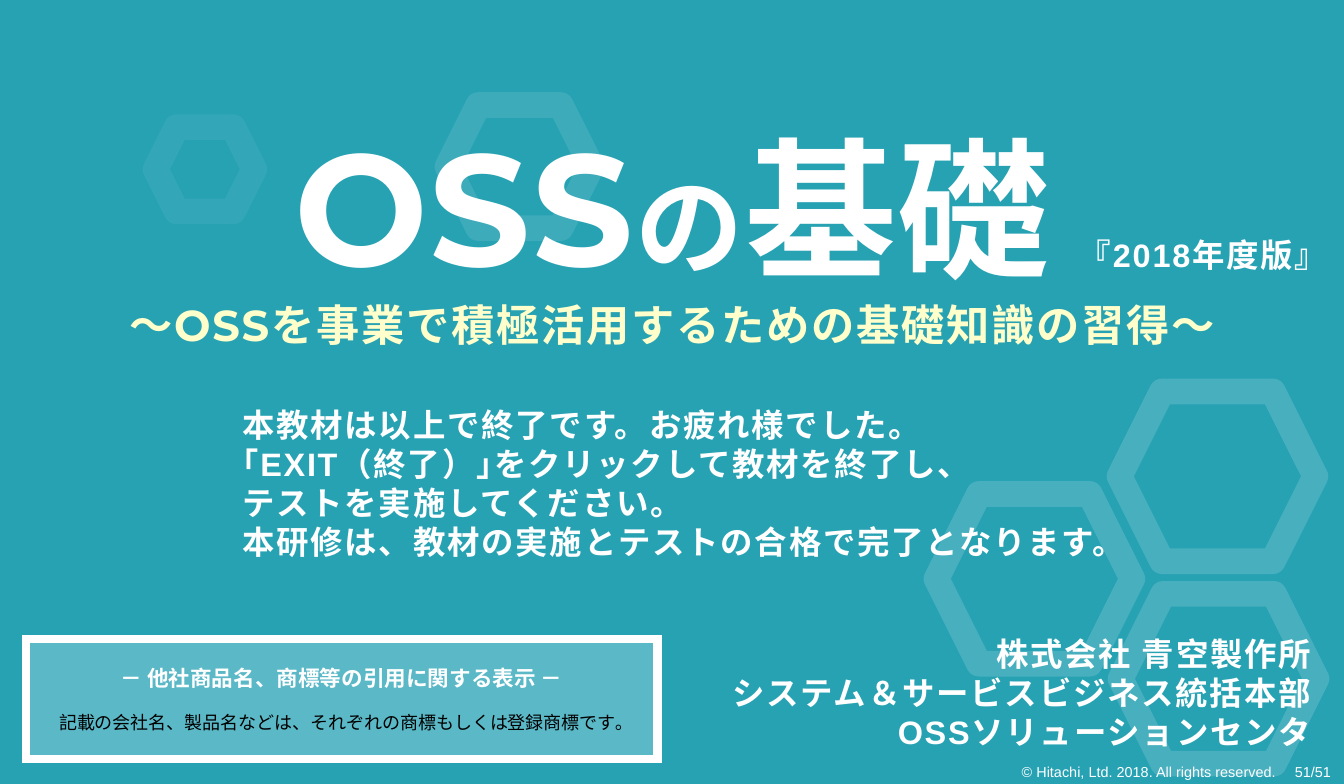
"""Build the closing slide of the OSS basics course."""
from lxml import etree
from pptx import Presentation
from pptx.dml.color import RGBColor
from pptx.enum.shapes import MSO_SHAPE
from pptx.enum.text import MSO_ANCHOR, PP_ALIGN
from pptx.oxml.ns import qn
from pptx.util import Pt

HEXAGON, RECTANGLE = MSO_SHAPE.HEXAGON, MSO_SHAPE.RECTANGLE
LEFT, CENTER, RIGHT = PP_ALIGN.LEFT, PP_ALIGN.CENTER, PP_ALIGN.RIGHT
TOP = MSO_ANCHOR.TOP
TEAL, PALE_TEAL, WHITE, CREAM, BLACK = "27A2B3", "72C3D0", "FFFFFF", "FFFFCC", "000000"
JAPANESE_FONT = "Noto Sans CJK JP"


def color(hex_string):
    """Turn a hex string into a colour."""
    return RGBColor.from_string(hex_string)


def set_opacity(fill_parent, percent):
    """Set the opacity of the solid fill inside an element."""
    solid_color = fill_parent.find(qn("a:solidFill"))[0]
    etree.SubElement(solid_color, qn("a:alpha"), val=str(percent * 1000))


def add_run(paragraph, text, size=18, font="Arial", fill=WHITE, bold=True, spacing=1):
    """Add a formatted run to a paragraph."""
    run = paragraph.add_run()
    run.text = text
    run.font.size = Pt(size)
    run.font.bold = bold
    run.font.name = font
    run.font.color.rgb = color(fill)
    properties = run.font._element
    properties.set("spc", str(spacing * 100))
    latin = properties.find(qn("a:latin"))
    latin.addnext(properties.makeelement(qn("a:ea"), {"typeface": JAPANESE_FONT}))


class SlideBuilder:
    """Hold the slide and its style, with one method per kind of element."""

    def __init__(self, slide):
        """Start on a slide with the teal background."""
        self.slide = slide
        background = slide.background.fill
        background.solid()
        background.fore_color.rgb = color(TEAL)

    def outline(self, preset, left, top, width, height, weight, join):
        """Add an unfilled preset shape with a white line."""
        shape = self.slide.shapes.add_shape(preset, Pt(left), Pt(top), Pt(width), Pt(height))
        shape.shadow.inherit = False
        shape.fill.background()
        shape.line.color.rgb = color(WHITE)
        shape.line.width = Pt(weight)
        etree.SubElement(shape.line._get_or_add_ln(), qn(join))
        return shape

    def hexagon(self, left, top, width, height, opacity):
        """Add a translucent hexagon ring with round corners."""
        shape = self.outline(HEXAGON, left, top, width, height, 14.25, "a:round")
        set_opacity(shape.line._get_or_add_ln(), opacity)

    def panel(self, left, top, width, height):
        """Add the translucent panel with a white frame."""
        shape = self.outline(RECTANGLE, left, top, width, height, 4.5, "a:miter")
        shape.fill.solid()
        shape.fill.fore_color.rgb = color(PALE_TEAL)
        set_opacity(shape._element.spPr, 69)

    def text(self, left, top, width, height, paragraphs, align=LEFT, pitch=None, inset=7.2):
        """Add a text box from paragraphs, each a list of (text, format) runs."""
        box = self.slide.shapes.add_textbox(Pt(left), Pt(top), Pt(width), Pt(height))
        frame = box.text_frame
        frame.word_wrap = True
        frame.vertical_anchor = TOP
        frame.margin_left = frame.margin_right = Pt(inset)
        for index, runs in enumerate(paragraphs):
            paragraph = frame.add_paragraph() if index else frame.paragraphs[0]
            paragraph.alignment = align
            if pitch:
                paragraph.line_spacing = Pt(pitch)
            for text, style in runs:
                add_run(paragraph, text, **style)
        return frame

    def lines(self, left, top, width, height, rows, align=LEFT, inset=7.2):
        """Add a text box of plain bold rows."""
        self.text(left, top, width, height, [[(row, {})] for row in rows], align, 21.65, inset)


def main():
    """Build and save the slide."""
    presentation = Presentation()
    presentation.slide_width, presentation.slide_height = Pt(746), Pt(435.4)
    builder = SlideBuilder(presentation.slides.add_slide(presentation.slide_layouts[6]))

    builder.hexagon(248.4, 58.3, 80, 68.4, 10)
    builder.hexagon(86.4, 70.6, 54.7, 46.8, 6)
    for left, top in ((622, 329.8), (519.8, 274.3), (621.4, 217.4)):
        builder.hexagon(left, top, 108.7, 94.3, 15)

    title = {"font": "Montserrat"}
    heading = builder.text(37.8, 57, 670.4, 143.3, [
        [("OSS", {"size": 88, **title}), ("の", {"size": 60, **title}),
         ("基礎", {"size": 84, **title})],
        [("～OSSを事業で積極活用するための基礎知識の習得～",
          {"size": 24, "fill": CREAM, **title})],
    ], CENTER)
    for paragraph, pitch in zip(heading.paragraphs, (105, 28.8)):
        paragraph.line_spacing = Pt(pitch)

    builder.text(490.3, 420, 255.6, 15.4, [
        [("© Hitachi, Ltd. 2018. All rights reserved. 　51/51",
          {"size": 8, "bold": False, "spacing": 0})],
    ], RIGHT)
    builder.lines(275.5, 348.3, 459.4, 72.7, [
        "株式会社 青空製作所",
        "システム＆サービスビジネス統括本部",
        "OSSソリューションセンタ",
    ], RIGHT)

    builder.panel(14.4, 354.7, 350.6, 67)
    notice = {"font": JAPANESE_FONT, "spacing": 0}
    disclaimer = builder.text(25.2, 365.7, 329, 50, [
        [("－ 他社商品名、商標等の引用に関する表示 －", {"size": 12, **notice})],
        [("記載の会社名、製品名などは、それぞれの商標もしくは登録商標です｡",
          {"size": 10, "fill": BLACK, "bold": False, **notice})],
    ], CENTER, inset=0)
    disclaimer.paragraphs[1].space_before = Pt(11.8)

    builder.lines(127.4, 221.3, 523.4, 94.3, [
        "本教材は以上で終了です。お疲れ様でした。",
        "｢EXIT（終了）｣をクリックして教材を終了し、",
        "テストを実施してください。",
        "本研修は、教材の実施とテストの合格で完了となります。",
    ])
    builder.lines(598.8, 126.8, 147, 28.8, ["『2018年度版』"], inset=0)
    presentation.save("out.pptx")


if __name__ == "__main__":
    main()
